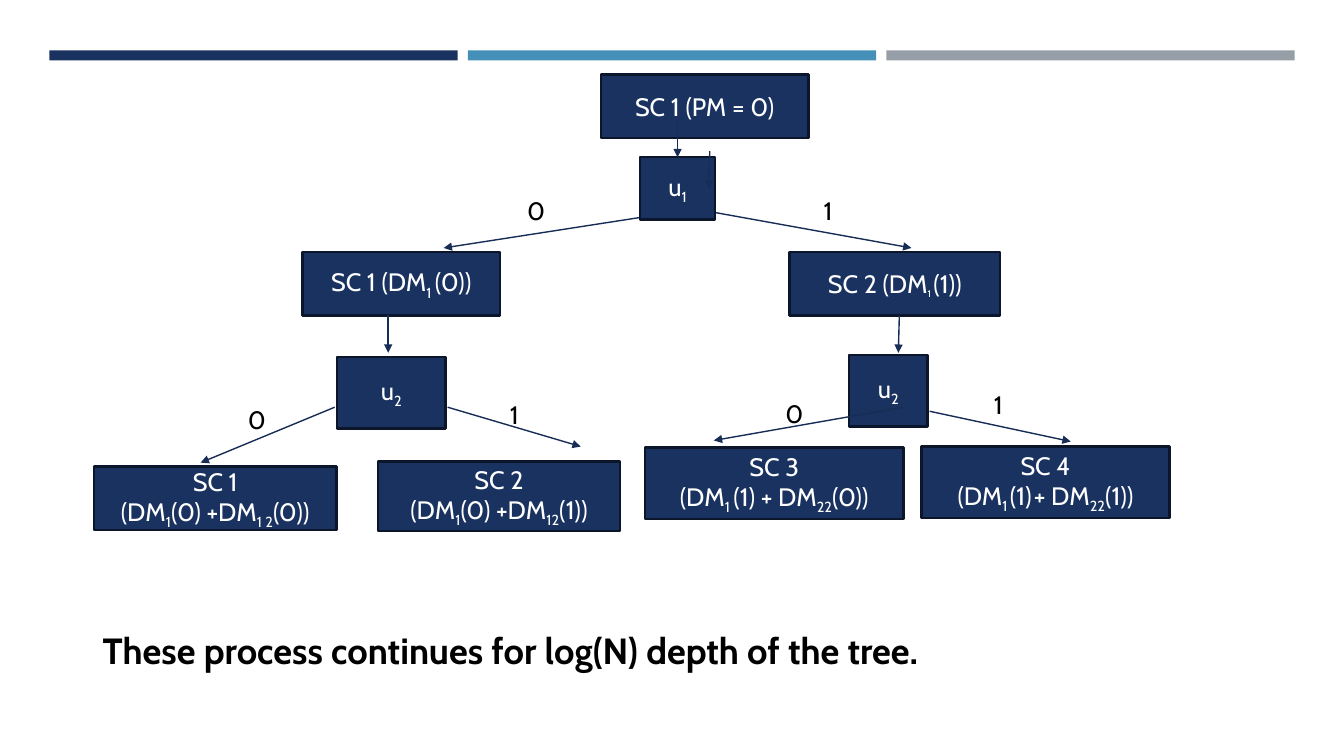
from dataclasses import dataclass

from lxml import etree
from pptx import Presentation
from pptx.dml.color import RGBColor
from pptx.enum.shapes import MSO_CONNECTOR, MSO_SHAPE
from pptx.enum.text import MSO_ANCHOR, PP_ALIGN
from pptx.oxml.ns import qn
from pptx.util import Inches, Pt

RECT, STRAIGHT = MSO_SHAPE.RECTANGLE, MSO_CONNECTOR.STRAIGHT
CENTER, LEFT = PP_ALIGN.CENTER, PP_ALIGN.LEFT
MIDDLE, TOP = MSO_ANCHOR.MIDDLE, MSO_ANCHOR.TOP


@dataclass(frozen=True)
class Theme:
    navy: str = "1A3260"
    blue: str = "4590B8"
    grey: str = "969FA7"
    border: str = "0B162A"
    arrow: str = "172D56"
    white: str = "FFFFFF"
    black: str = "000000"
    font: str = "Cabin"
    body: int = 18
    small: int = 12
    closing: int = 26
    border_width: float = 1.75
    arrow_width: float = 1


THEME = Theme()

# Places are relative to the region. In texts "|" switches subscript on and
# off, and "^" opens a smaller run.
TOP_LEVEL = {
    "nodes": [
        ((2.96, 0, 2.06, 0.63), "SC 1 (PM = 0)"),
        ((3.35, 0.82, 0.74, 0.62), "u|1"),
        ((0, 1.76, 1.96, 0.63), "SC 1 (DM|1 |(0))"),
        ((4.83, 1.76, 2.09, 0.63), "SC 2 (DM|^1 |(1))"),
    ],
    "labels": [(2.13, 1.15, "0"), (5.07, 1.15, "1")],
    "back": [(3.72, 1.36, 1.4, 1.72)],
    "front": [(3.72, 0.45, 3.72, 0.82), (4.1, 1.37, 6.04, 1.72),
              (4.04, 0.76, 4.03, 1.13)],
    "joins": {0: 1},  # front arrow -> node whose top it meets
}
LEFT_BRANCH = {
    "nodes": [
        ((2.41, 0.41, 1.08, 0.71), "u|2"),
        ((0, 1.5, 2.41, 0.63), "SC 1\n(DM|1|(0) +DM|1 2|(0))"),
        ((2.82, 1.45, 2.4, 0.69), "SC 2\n(DM|1|(0) +DM|12|(1))"),
    ],
    "labels": [(1.43, 0.83, "0"), (4.03, 0.78, "1")],
    "back": [(2.39, 0.91, 1.06, 1.46), (2.92, 0, 2.92, 0.37)],
    "front": [(3.51, 0.91, 4.83, 1.3)],
    "joins": {},
}
RIGHT_BRANCH = {
    "nodes": [
        ((2.02, 0.39, 0.78, 0.71), "u|2"),
        ((0, 1.31, 2.56, 0.71), "SC 3\n(DM|1 |(1) + DM|22|(0))"),
        ((2.74, 1.3, 2.46, 0.71), "SC 4\n(DM|1||^ |(1)|^ |+ DM|22|(1))"),
    ],
    "labels": [(1.29, 0.77, "0"), (3.36, 0.68, "1")],
    "back": [],
    "front": [(2.82, 0.95, 4.22, 1.25), (2.56, 0.91, 0.68, 1.24),
              (2.52, 0, 2.51, 0.37)],
    "joins": {},
}


def rgb(value):
    return RGBColor.from_string(value)


def write(tf, text, color, align=LEFT, anchor=TOP, size=THEME.body, bold=False):
    tf.word_wrap = True
    tf.vertical_anchor = anchor
    for i, line in enumerate(text.split("\n")):
        p = tf.add_paragraph() if i else tf.paragraphs[0]
        p.alignment = align
        for j, part in enumerate(line.split("|")):
            if not part:
                continue
            r = p.add_run()
            r.text = part.lstrip("^")
            small = part.startswith("^")
            fmt = {"name": THEME.font, "bold": bold,
                   "size": Pt(THEME.small if small else size)}
            for name, value in fmt.items():
                setattr(r.font, name, value)
            r.font.color.rgb = rgb(color)
            if j % 2:
                r._r.get_or_add_rPr().set("baseline", "-25000")


def add_rect(s, box, fill, border=None):
    sp = s.shapes.add_shape(RECT, *map(Inches, box))
    sp.shadow.inherit = False
    sp.fill.solid()
    sp.fill.fore_color.rgb = rgb(fill)
    if border:
        sp.line.color.rgb = rgb(border)
        sp.line.width = Pt(THEME.border_width)
    else:
        sp.line.fill.background()
    return sp


def add_text(s, box, text, **fmt):
    tb = s.shapes.add_textbox(*map(Inches, box))
    write(tb.text_frame, text, THEME.black, **fmt)


def add_arrow(s, x, y, ends):
    x1, y1, x2, y2 = ends
    cn = s.shapes.add_connector(STRAIGHT, Inches(x + x1), Inches(y + y1),
                                Inches(x + x2), Inches(y + y2))
    cn.line.color.rgb = rgb(THEME.arrow)
    cn.line.width = Pt(THEME.arrow_width)
    etree.SubElement(cn.line._get_or_add_ln(), qn("a:tailEnd"), type="triangle")
    etree.SubElement(cn._element.spPr, qn("a:effectLst"))
    return cn


def header_bars(s, x, y, w, h):
    gap = 0.1
    bar = (w - 2 * gap) / 3
    for i, color in enumerate((THEME.navy, THEME.blue, THEME.grey)):
        add_rect(s, (x + i * (bar + gap), y, bar, h), color)


def tree_part(s, x, y, part):
    # Arrows that start behind a node
    for ends in part["back"]:
        add_arrow(s, x, y, ends)
    # Nodes
    nodes = []
    for (dx, dy, w, h), text in part["nodes"]:
        sp = add_rect(s, (x + dx, y + dy, w, h), THEME.navy, THEME.border)
        write(sp.text_frame, text, THEME.white, CENTER, MIDDLE)
        nodes.append(sp)
    # Arrows in front, joined where they meet a node
    arrows = [add_arrow(s, x, y, ends) for ends in part["front"]]
    for arrow, node in part["joins"].items():
        arrows[arrow].end_connect(nodes[node], 0)
    # Bit values on the branches
    for dx, dy, text in part["labels"]:
        add_text(s, (x + dx, y + dy, 0.4, 0.4), text)


def main():
    prs = Presentation()
    prs.slide_width, prs.slide_height = Inches(13.33), Inches(7.5)
    s = prs.slides.add_slide(prs.slide_layouts[6])
    header_bars(s, 0.49, 0.5, 12.35, 0.1)
    tree_part(s, 3, 0.74, TOP_LEVEL)
    tree_part(s, 0.93, 3.13, LEFT_BRANCH)
    tree_part(s, 6.4, 3.13, RIGHT_BRANCH)
    # Closing statement
    add_text(s, (0.92, 6.18, 9.42, 0.54),
             "These process continues for log(N) depth of the tree.",
             size=THEME.closing, bold=True)
    prs.save("out.pptx")


if __name__ == "__main__":
    main()
